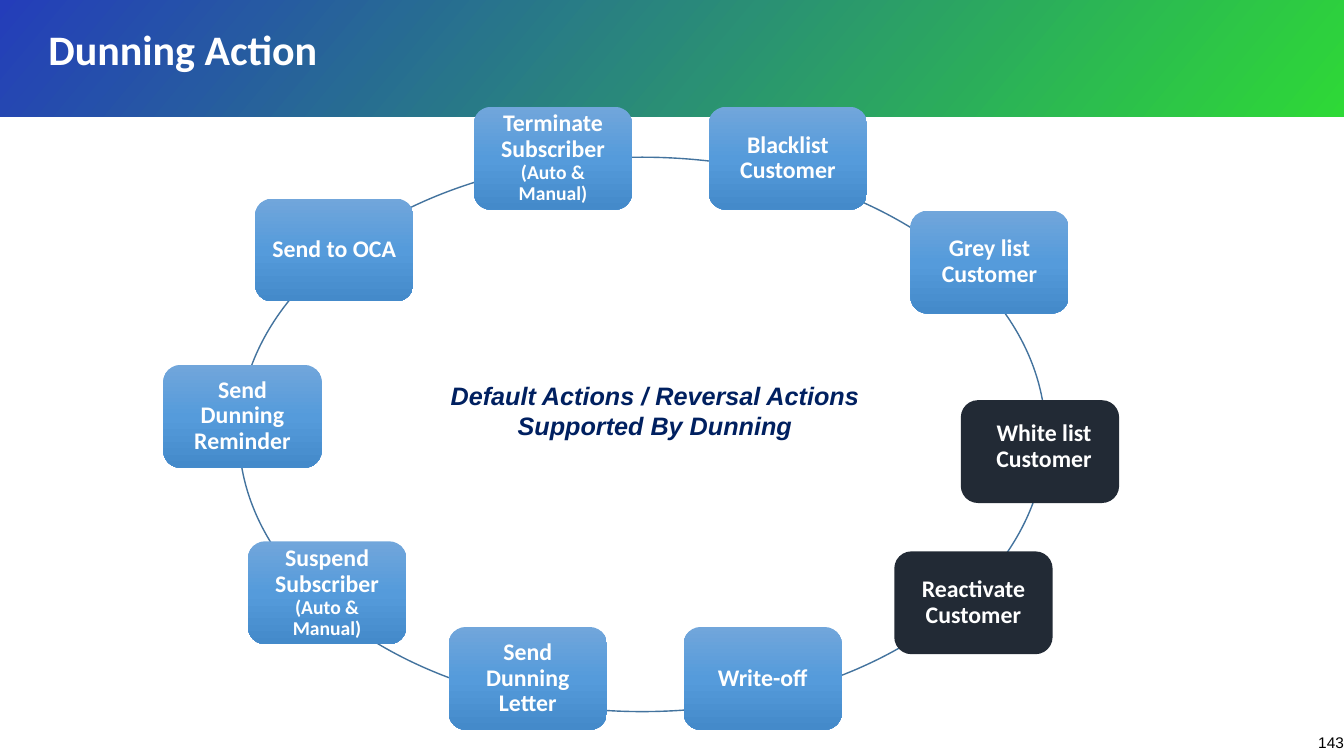
from lxml import etree
from pptx import Presentation
from pptx.dml.color import RGBColor
from pptx.enum.shapes import MSO_SHAPE
from pptx.enum.text import MSO_ANCHOR, PP_ALIGN
from pptx.oxml.ns import qn
from pptx.util import Inches, Pt

RECTANGLE = MSO_SHAPE.RECTANGLE
ROUNDED = MSO_SHAPE.ROUNDED_RECTANGLE
OVAL = MSO_SHAPE.OVAL
MIDDLE = MSO_ANCHOR.MIDDLE
LEFT, CENTER, RIGHT = PP_ALIGN.LEFT, PP_ALIGN.CENTER, PP_ALIGN.RIGHT

PAGE_WIDTH, PAGE_HEIGHT = 13.33, 7.5
NODE_WIDTH, NODE_HEIGHT = 1.57, 1.02
WHITE, BLACK, NAVY, DARK = "FFFFFF", "000000", "002060", "222A35"
BLUE_STOPS = [(0, "71A6DB"), (50, "559BDB"), (100, "448ACA")]
BAND_STOPS = [(0, "0D29B3"), (100, "18D521")]
MANUAL_NOTE = "(Auto & Manual)"

# left, top, action, smaller note
DEFAULT_ACTIONS = [
    (1.62, 3.62, "Send Dunning Reminder", ""),
    (2.53, 1.97, "Send to OCA", ""),
    (4.70, 1.06, "Terminate Subscriber ", MANUAL_NOTE),
    (7.03, 1.06, "Blacklist Customer", ""),
    (9.03, 2.09, "Grey list Customer", ""),
    (6.78, 6.22, "Write-off", ""),
    (4.45, 6.22, "Send Dunning Letter", ""),
    (2.46, 5.37, "Suspend Subscriber ", MANUAL_NOTE),
]
REVERSAL_ACTIONS = [
    (9.53, 3.97, "White list Customer", ""),
    (8.87, 5.47, "Reactivate Customer", ""),
]


def color(hex_string):
    return RGBColor.from_string(hex_string)


def style(span, size, hex_string, font="Calibri", bold=True, italic=False):
    span.font.name = font
    span.font.size = Pt(size)
    span.font.bold = bold
    span.font.italic = italic
    span.font.color.rgb = color(hex_string)


def add_plain_shape(page, kind, box):
    """Add a shape without shadow or line; box is left, top, width, height."""
    shape = page.shapes.add_shape(kind, *map(Inches, box))
    shape.shadow.inherit = False
    shape.line.fill.background()
    return shape


def fill_gradient(shape, stops, angle, opacity=100):
    """Fill with (percent, colour) stops, the angle running clockwise."""
    shape.fill.gradient()
    gradient = shape._element.spPr.find(qn("a:gradFill"))
    for child in list(gradient):
        gradient.remove(child)
    stop_list = etree.SubElement(gradient, qn("a:gsLst"))
    for percent, hex_string in stops:
        stop = etree.SubElement(stop_list, qn("a:gs"), pos=str(percent * 1000))
        tone = etree.SubElement(stop, qn("a:srgbClr"), val=hex_string)
        if opacity < 100:
            etree.SubElement(tone, qn("a:alpha"), val=str(opacity * 1000))
    etree.SubElement(gradient, qn("a:lin"), ang=str(angle * 60000), scaled="0")


def add_header(page, box):
    left, top, width, height = box
    title = page.shapes.title
    band = add_plain_shape(page, RECTANGLE, box)
    fill_gradient(band, BAND_STOPS, 40, opacity=89)
    title._element.addprevious(band._element)

    title.left, title.top = Inches(left + 0.38), Inches(top + 0.09)
    title.width, title.height = Inches(10.19), Inches(height - 0.31)
    frame = title.text_frame
    frame.text = "Dunning Action"
    frame.vertical_anchor = MIDDLE
    para = frame.paragraphs[0]
    para.alignment = LEFT
    para.line_spacing = 0.9
    style(para.runs[0], 30, WHITE)


def add_action(page, left, top, action, note):
    node = add_plain_shape(page, ROUNDED, (left, top, NODE_WIDTH, NODE_HEIGHT))
    frame = node.text_frame
    frame.word_wrap = True
    frame.vertical_anchor = MIDDLE
    frame.margin_left = frame.margin_right = Inches(0.07)
    frame.margin_top = frame.margin_bottom = Inches(0.07)
    frame.text = action
    para = frame.paragraphs[0]
    para.alignment = CENTER
    para.line_spacing = 0.9
    style(para.runs[0], 17, WHITE)
    if note:
        span = para.add_run()
        span.text = note
        style(span, 14, WHITE)
    return node


def add_ring(page, box):
    left, top, width, height = box
    ring = add_plain_shape(page, OVAL, box)
    ring.fill.solid()
    ring.fill.fore_color.rgb = color(WHITE)
    ring.line.color.rgb = color("43739E")
    ring.line.width = Pt(1)

    for action in DEFAULT_ACTIONS:
        fill_gradient(add_action(page, *action), BLUE_STOPS, 90)
    for action in REVERSAL_ACTIONS:
        node = add_action(page, *action)
        node.fill.solid()
        node.fill.fore_color.rgb = color(DARK)
        if action[2].startswith("White"):
            node.text_frame.margin_left = Inches(0.15)
            node.text_frame.margin_bottom = Inches(0.17)

    caption = page.shapes.add_textbox(
        Inches(left + 1.75), Inches(top + 2.16), Inches(4.75), Inches(0.71))
    caption.text_frame.word_wrap = True
    caption.text_frame.text = "Default Actions / Reversal Actions Supported By Dunning"
    para = caption.text_frame.paragraphs[0]
    para.alignment = CENTER
    style(para.runs[0], 18, NAVY, font="Arial", italic=True)


def add_page_number(page, box):
    number = page.shapes.add_textbox(*map(Inches, box))
    frame = number.text_frame
    frame.word_wrap = True
    frame.margin_left = frame.margin_right = 0
    frame.margin_top = frame.margin_bottom = 0
    frame.text = "143"
    frame.paragraphs[0].alignment = RIGHT
    style(frame.paragraphs[0].runs[0], 11, BLACK, font="Arial", bold=False)


def main():
    deck = Presentation()
    deck.slide_width, deck.slide_height = Inches(PAGE_WIDTH), Inches(PAGE_HEIGHT)
    page = deck.slides.add_slide(deck.slide_layouts[5])
    add_header(page, (0, 0, PAGE_WIDTH, 1.16))
    add_ring(page, (2.37, 1.56, 8, 5.5))
    add_page_number(page, (12.93, 7.27, 0.4, 0.2))
    deck.save("out.pptx")


if __name__ == "__main__":
    main()
